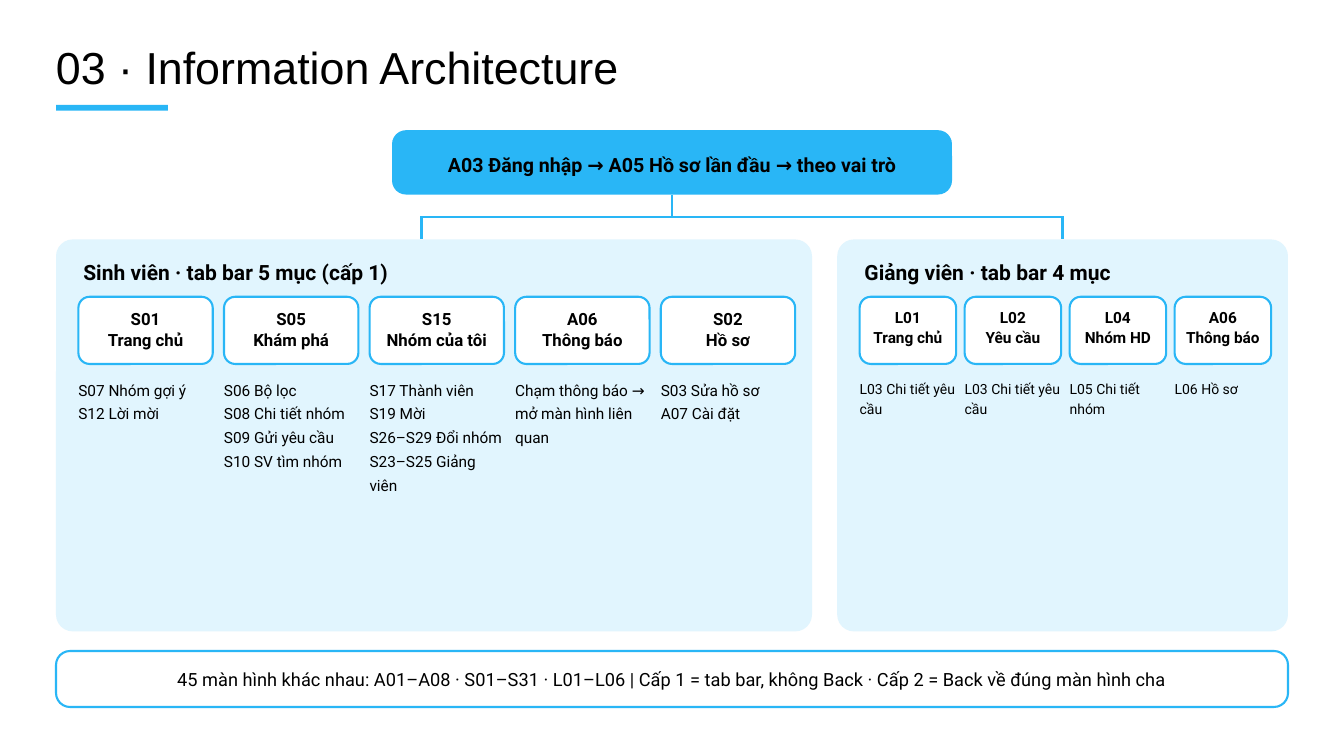
"""Build the information architecture slide: a sign-in root, two role panels and a footer."""
from dataclasses import dataclass
from typing import NamedTuple

from lxml import etree
from pptx import Presentation
from pptx.dml.color import RGBColor
from pptx.enum.shapes import MSO_CONNECTOR, MSO_SHAPE
from pptx.enum.text import MSO_ANCHOR, MSO_AUTO_SIZE, PP_ALIGN
from pptx.oxml.ns import qn
from pptx.util import Pt

RECTANGLE = MSO_SHAPE.RECTANGLE
ROUNDED = MSO_SHAPE.ROUNDED_RECTANGLE
STRAIGHT = MSO_CONNECTOR.STRAIGHT
LEFT, CENTER = PP_ALIGN.LEFT, PP_ALIGN.CENTER
TOP = MSO_ANCHOR.TOP
GROW = MSO_AUTO_SIZE.SHAPE_TO_FIT_TEXT
BOTTOM_SITE = 2


class TextStyle(NamedTuple):
    size: float
    leading: float
    bold: bool = False
    align: PP_ALIGN = LEFT
    font: str = "Roboto"


@dataclass(frozen=True)
class Theme:
    accent: RGBColor = RGBColor.from_string("29B6F6")
    panel: RGBColor = RGBColor.from_string("E1F5FE")
    surface: RGBColor = RGBColor.from_string("FFFFFF")
    ink: RGBColor = RGBColor.from_string("000000")
    border: float = 2.25
    branch: float = 3
    title: TextStyle = TextStyle(48, 48, font="Arial")
    root: TextStyle = TextStyle(21, 29.4, True, CENTER)
    heading: TextStyle = TextStyle(22.5, 31.5, True)
    student_tab: TextStyle = TextStyle(18, 22.5, True, CENTER)
    lecturer_tab: TextStyle = TextStyle(16.5, 20.6, True, CENTER)
    student_item: TextStyle = TextStyle(16.5, 25.6)
    lecturer_item: TextStyle = TextStyle(15, 21.8)
    footer: TextStyle = TextStyle(19.5, 27.3, align=CENTER)


class SlideBuilder:
    def __init__(self, slide, theme):
        self.slide = slide
        self.theme = theme

    def set_text(self, shape, lines, style, left=0, top=0):
        frame = shape.text_frame
        frame.word_wrap = True
        frame.vertical_anchor = TOP
        frame.margin_left, frame.margin_top = Pt(left), Pt(top)
        frame.margin_right = frame.margin_bottom = 0
        frame.text = "\n".join(lines)
        for paragraph in frame.paragraphs:
            paragraph.alignment = style.align
            paragraph.line_spacing = Pt(style.leading)
            paragraph.font.name = style.font
            paragraph.font.size = Pt(style.size)
            paragraph.font.bold = style.bold
            paragraph.font.color.rgb = self.theme.ink

    def text(self, left, top, width, lines, style):
        height = style.leading * len(lines)
        shape = self.slide.shapes.add_textbox(Pt(left), Pt(top), Pt(width), Pt(height))
        self.set_text(shape, lines, style)
        shape.text_frame.auto_size = GROW

    def box(self, left, top, width, height, fill, radius=0, outlined=False):
        kind = ROUNDED if radius else RECTANGLE
        shape = self.slide.shapes.add_shape(kind, Pt(left), Pt(top), Pt(width), Pt(height))
        if radius:
            shape.adjustments[0] = radius / min(width, height)
        shape.shadow.inherit = False
        shape.fill.solid()
        shape.fill.fore_color.rgb = fill
        if outlined:
            shape.line.color.rgb = self.theme.accent
            shape.line.width = Pt(self.theme.border)
        else:
            shape.line.fill.background()
        return shape

    def line(self, start_x, start_y, end_x, end_y):
        connector = self.slide.shapes.add_connector(
            STRAIGHT, Pt(start_x), Pt(start_y), Pt(end_x), Pt(end_y))
        connector.line.color.rgb = self.theme.accent
        connector.line.width = Pt(self.theme.branch)
        etree.SubElement(connector._element.spPr, qn("a:effectLst"))
        return connector

    def role_panel(self, left, width, heading, tabs, gap, tab_style, item_style, item_top):
        top, inset_left, inset_right = 256.5, 24, 18
        panel = self.box(left, top, width, 420, self.theme.panel, radius=18)
        self.set_text(panel, [heading], self.theme.heading, left=inset_left, top=12)
        inner_width = width - inset_left - inset_right
        tab_width = (inner_width - gap * (len(tabs) - 1)) / len(tabs)
        for index, (label, items) in enumerate(tabs):
            tab_left = left + inset_left + index * (tab_width + gap)
            tab = self.box(tab_left, 318, tab_width, 72, self.theme.surface,
                           radius=12, outlined=True)
            self.set_text(tab, label, tab_style, top=8.25)
            self.text(tab_left, item_top, tab_width, items, item_style)


STUDENT_TABS = [
    (("S01", "Trang chủ"), ["S07 Nhóm gợi ý", "S12 Lời mời"]),
    (("S05", "Khám phá"),
     ["S06 Bộ lọc", "S08 Chi tiết nhóm", "S09 Gửi yêu cầu", "S10 SV tìm nhóm"]),
    (("S15", "Nhóm của tôi"),
     ["S17 Thành viên", "S19 Mời", "S26–S29 Đổi nhóm", "S23–S25 Giảng viên"]),
    (("A06", "Thông báo"), ["Chạm thông báo → mở màn hình liên quan"]),
    (("S02", "Hồ sơ"), ["S03 Sửa hồ sơ", "A07 Cài đặt"]),
]
LECTURER_TABS = [
    (("L01", "Trang chủ"), ["L03 Chi tiết yêu cầu"]),
    (("L02", "Yêu cầu"), ["L03 Chi tiết yêu cầu"]),
    (("L04", "Nhóm HD"), ["L05 Chi tiết nhóm"]),
    (("A06", "Thông báo"), ["L06 Hồ sơ"]),
]
FOOTER = ("45 màn hình khác nhau: A01–A08 · S01–S31 · L01–L06 | "
          "Cấp 1 = tab bar, không Back · Cấp 2 = Back về đúng màn hình cha")


def main():
    presentation = Presentation()
    presentation.slide_width, presentation.slide_height = Pt(1440), Pt(810)
    theme = Theme()
    builder = SlideBuilder(presentation.slides.add_slide(presentation.slide_layouts[6]), theme)

    builder.text(60, 52, 1335, ["03 · Information Architecture"], theme.title)
    builder.box(60, 112.5, 120, 6, theme.accent)

    root = builder.box(420, 139.5, 600, 69, theme.accent, radius=15)
    builder.set_text(root, ["A03 Đăng nhập → A05 Hồ sơ lần đầu → theo vai trò"],
                     theme.root, top=16)
    branch_y = 232.5
    stem = builder.line(720, 208.5, 720, branch_y)
    stem.begin_connect(root, BOTTOM_SITE)
    builder.line(450, branch_y, 1140, branch_y)
    for drop_x in (451.5, 1138.5):
        builder.line(drop_x, branch_y, drop_x, 256.5)

    builder.role_panel(60, 810, "Sinh viên · tab bar 5 mục (cấp 1)", STUDENT_TABS, 12,
                       theme.student_tab, theme.student_item, 402)
    builder.role_panel(897, 483, "Giảng viên · tab bar 4 mục", LECTURER_TABS, 9,
                       theme.lecturer_tab, theme.lecturer_item, 404)

    footer = builder.box(60, 697.5, 1320, 60, theme.surface, radius=15, outlined=True)
    builder.set_text(footer, [FOOTER], theme.footer, top=10.5)
    presentation.save("out.pptx")


if __name__ == "__main__":
    main()
